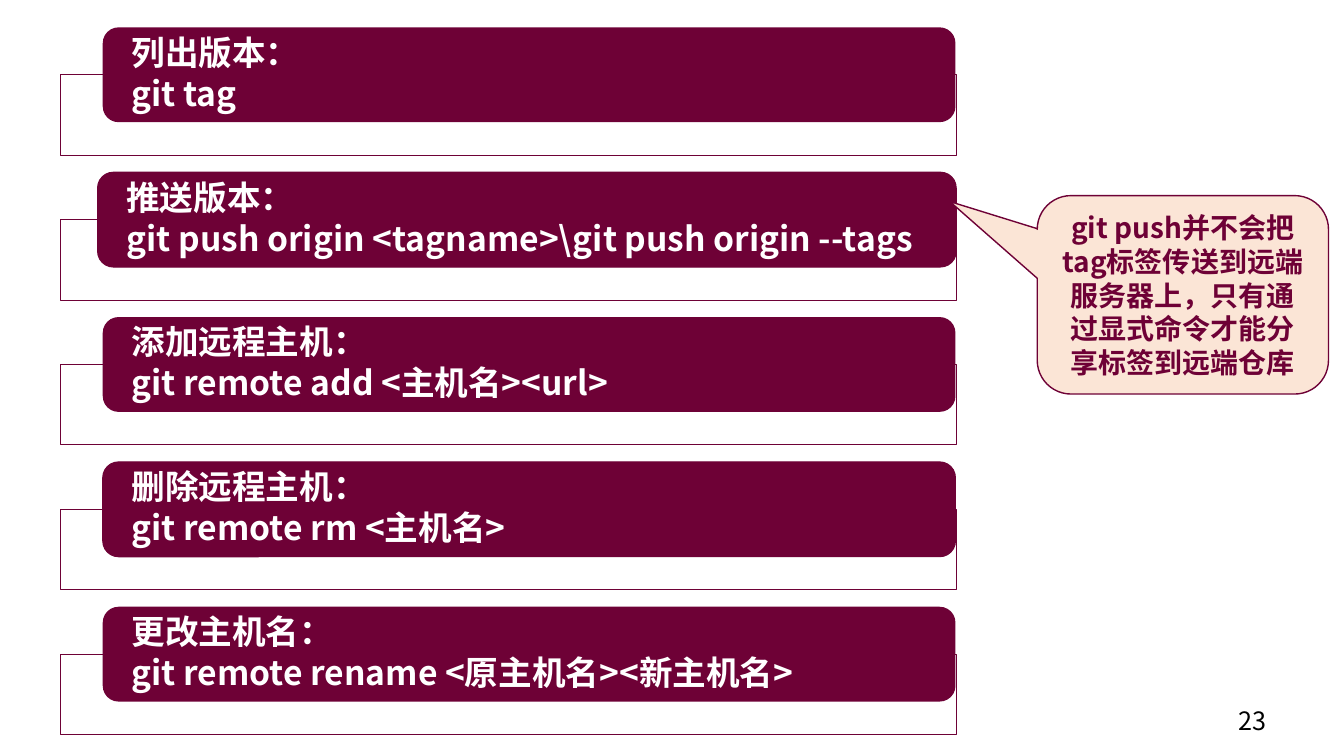
from pptx import Presentation
from pptx.dml.color import RGBColor as Rgb
from pptx.enum.shapes import MSO_SHAPE as Kind
from pptx.enum.text import MSO_ANCHOR as Anchor, PP_ALIGN as Align
from pptx.oxml.ns import qn
from pptx.util import Cm, Pt
from lxml.etree import SubElement as Sub

WINE = Rgb(0x6E, 0x01, 0x36)
PEACH = Rgb(0xFB, 0xE5, 0xD6)
WHITE = Rgb(0xFF, 0xFF, 0xFF)
BLACK = Rgb(0x00, 0x00, 0x00)

STEP = 3.65
LEFT, WIDTH, EDGE = 2.59, 21.49, 0
CARDS = [
    ("列出版本：", "git tag", LEFT, WIDTH, EDGE),
    ("推送版本：", "git push origin <tagname>\\git push origin --tags", 2.46, 21.64, 0.75),
    ("添加远程主机：", "git remote add <主机名><url>", LEFT, WIDTH, EDGE),
    ("删除远程主机：", "git remote rm <主机名>", LEFT, WIDTH, 0.75),
    ("更改主机名：", "git remote rename <原主机名><新主机名>", LEFT, WIDTH, EDGE),
]
NOTE = "git push并不会把tag标签传送到远端服务器上，只有通过显式命令才能分享标签到远端仓库"


def apply(item, values):
    for name, value in values.items():
        setattr(item, name, value)


class Deck:
    face = "Noto Sans CJK SC"

    def __init__(self):
        self.show = Presentation()
        apply(self.show, {"slide_width": Cm(33.87), "slide_height": Cm(19.05)})
        self.slide = self.show.slides.add_slide(self.show.slide_layouts[6])

    def text(self, shape, lines, size, color, bold=True, frame=None, para=None):
        body = shape.text_frame
        apply(body, {"word_wrap": True, "vertical_anchor": Anchor.MIDDLE, **(frame or {})})
        for i, line in enumerate(lines):
            part = body.add_paragraph() if i else body.paragraphs[0]
            apply(part, {"alignment": Align.LEFT, **(para or {})})
            run = part.add_run()
            run.text = line
            apply(run.font, {"size": Pt(size), "bold": bold, "name": self.face})
            run.font.color.rgb = color
            Sub(run.font._element, qn("a:ea"), typeface=self.face)

    def shape(self, kind, box, fill, edge):
        shape = self.slide.shapes.add_shape(kind, *map(Cm, box))
        shape.shadow.inherit = False
        shape.fill.solid()
        shape.fill.fore_color.rgb = fill
        if edge:
            shape.line.color.rgb = WINE
            shape.line.width = Pt(edge)
        else:
            shape.line.fill.background()
        return shape

    def card(self, top, title, code, left, width, edge):
        back = self.shape(Kind.RECTANGLE, (1.52, top + 1.19, 22.58, 2.03), WHITE, 0.5)
        tint = back._element.spPr.find(qn("a:solidFill"))[0]
        Sub(tint, qn("a:alpha"), val="90000")
        bar = self.shape(Kind.ROUNDED_RECTANGLE, (left, top, width, 2.39), WINE, edge)
        frame = {"margin_left": Cm(0.61), "margin_right": Cm(0.61),
                 "margin_top": 0, "margin_bottom": 0}
        para = {"line_spacing": 0.9, "space_after": Pt(3.4)}
        self.text(bar, [title, code], 24, WHITE, frame=frame, para=para)

    def bubble(self, text, box, tail):
        shape = self.shape(Kind.ROUNDED_RECTANGULAR_CALLOUT, box, PEACH, 1)
        for i, value in enumerate(tail):
            shape.adjustments[i] = value
        self.text(shape, [text], 20, WINE, para={"alignment": Align.CENTER})

    def label(self, text, box):
        shape = self.slide.shapes.add_textbox(*map(Cm, box))
        self.text(shape, [text], 18, BLACK, bold=False)


def main():
    deck = Deck()
    deck.label("23", (30.96, 17.65, 1.57, 1.02))
    for i, card in enumerate(CARDS):
        deck.card(0.69 + i * STEP, *card)
    deck.bubble(NOTE, (26.14, 4.93, 7.34, 5), (-0.8, -0.47, 0.17))
    deck.show.save("out.pptx")


if __name__ == "__main__":
    main()
